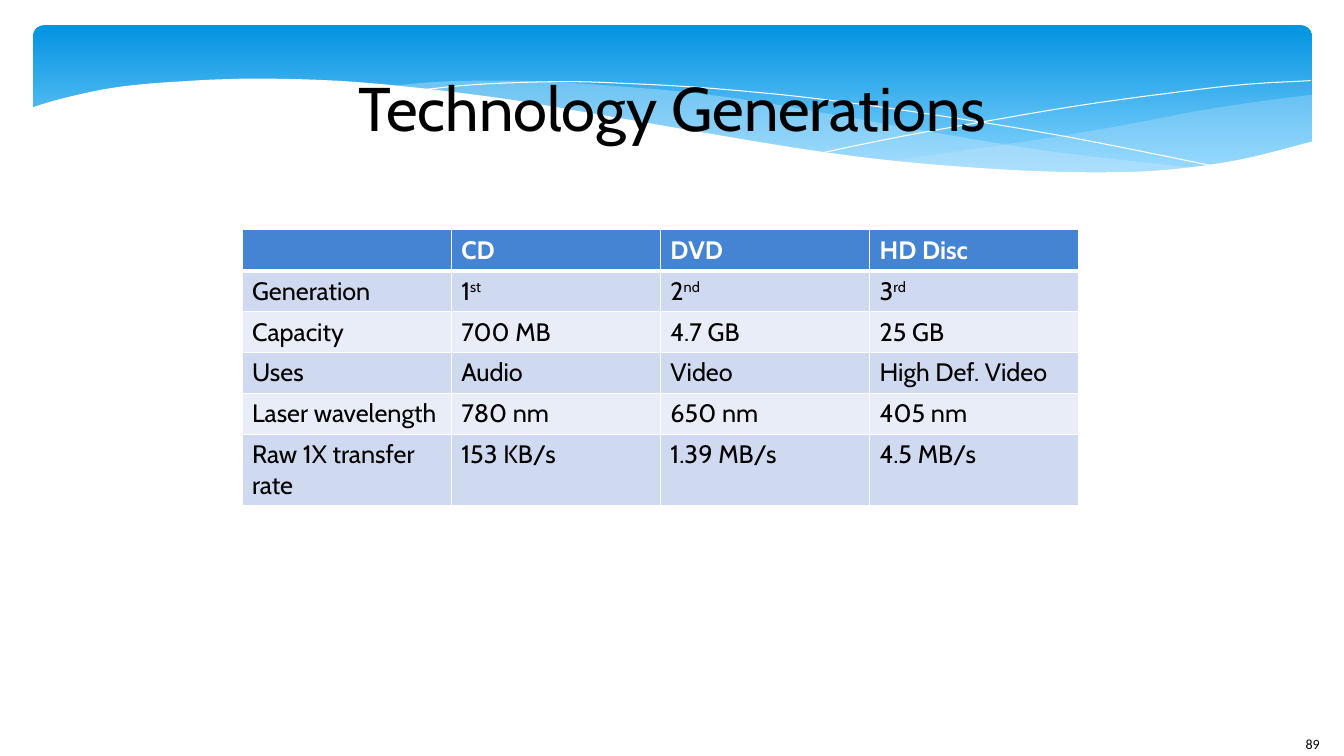
from dataclasses import dataclass
from typing import Optional

from lxml.etree import SubElement
from pptx import Presentation
from pptx.dml.color import RGBColor
from pptx.enum.shapes import MSO_SHAPE as Preset
from pptx.enum.text import MSO_ANCHOR as Anchor, PP_ALIGN as Align
from pptx.oxml.ns import qn
from pptx.util import Inches, Pt

COLORS = {
    "sky_top": "0293E0", "sky_bottom": "83D3FE", "wave": "C6E7FC",
    "white": "FFFFFF", "black": "000000",
    "header": "4584D3", "odd_row": "CFD9EF", "even_row": "E9EDF7",
}
Point = tuple[float, float]


@dataclass
class Wave:
    """Smooth edges, joined in order; a filled wave is closed."""
    edges: list[list[Point]]
    fill: Optional[str] = None
    opacity: int = 100


WAVES = [
    # Right-hand swell
    Wave([[(13.01, 0.94), (12.46, 1.01), (11.88, 1.1), (11.1, 1.25), (10.38, 1.37),
           (9.72, 1.47), (8.82, 1.6)],
          [(8.82, 1.6), (9.58, 1.67), (10.25, 1.71), (10.85, 1.72), (11.51, 1.7),
           (12.07, 1.63), (12.57, 1.54), (13.01, 1.42)]], "wave", 29),
    # Long middle swell
    Wave([[(11.9, 1.67), (11.16, 1.59), (10.34, 1.49), (9.41, 1.34), (8.39, 1.16),
           (7.59, 1.02), (6.86, 0.92), (6.19, 0.86), (5.6, 0.82), (5.06, 0.8),
           (4.37, 0.81), (3.82, 0.86)],
          [(3.82, 0.86), (4.56, 0.94), (5.39, 1.06), (5.99, 1.16), (7.06, 1.35),
           (8.02, 1.5), (8.87, 1.61), (9.63, 1.68), (10.3, 1.72), (10.9, 1.73),
           (11.43, 1.71), (11.9, 1.67)]], "wave", 40),
    # Thin crest lines
    Wave([[(4.12, 0.9), (4.7, 0.84), (5.55, 0.81), (6.25, 0.83), (7.1, 0.88),
           (8.11, 0.98), (9.27, 1.14), (10.6, 1.36), (12.1, 1.66)]]),
    Wave([[(8.18, 1.51), (8.96, 1.35), (9.97, 1.17), (10.75, 1.04), (11.55, 0.93),
           (12.32, 0.84), (13, 0.8)]]),
    # White band that cuts the lower edge of the banner
    Wave([[(0.31, 1.07), (0.61, 0.98), (1.13, 0.87), (1.76, 0.81), (2.58, 0.78),
           (3.61, 0.82), (4.86, 0.96), (5.96, 1.14), (7.06, 1.33), (8.04, 1.49),
           (8.91, 1.6), (9.92, 1.68), (10.78, 1.71), (11.51, 1.69), (12.27, 1.59),
           (13.03, 1.4)], [(13.03, 2.24), (0.31, 2.24)]], "white"),
]
UNITS_PER_INCH = 1000  # freeform points are whole numbers

# A bar separates a number from its raised ending
ROWS = [
    ["", "CD", "DVD", "HD Disc"],
    ["Generation", "1|st", "2|nd", "3|rd"],
    ["Capacity", "700 MB", "4.7 GB", "25 GB"],
    ["Uses", "Audio", "Video", "High Def. Video"],
    ["Laser wavelength", "780 nm", "650 nm", "405 nm"],
    ["Raw 1X transfer rate", "153 KB/s", "1.39 MB/s", "4.5 MB/s"],
]
TABLE_WIDTH, TABLE_HEIGHT, LAST_ROW_HEIGHT = 8.3, 2.73, 0.7


def color(name: str) -> RGBColor:
    return RGBColor.from_string(COLORS[name])


def set_font(para, name: str, size: int, ink: str, bold: bool = False) -> None:
    font = para.font
    font.name, font.size, font.bold = name, Pt(size), bold
    font.color.rgb = color(ink)


def smooth(knots: list[Point], steps: int = 5) -> list[Point]:
    """Catmull-Rom curve through the knots."""
    padded = [knots[0], *knots, knots[-1]]
    curve = [knots[0]]
    for a, b, c, d in zip(padded, padded[1:], padded[2:], padded[3:]):
        for step in range(1, steps + 1):
            t = step / steps
            curve.append(tuple(
                (2 * q + (r - p) * t + (2 * p - 5 * q + 4 * r - s) * t ** 2
                 + (3 * q - p - 3 * r + s) * t ** 3) / 2
                for p, q, r, s in zip(a, b, c, d)))
    return curve


def add_banner(page) -> None:
    banner = page.shapes.add_shape(Preset.ROUNDED_RECTANGLE, Inches(0.33), Inches(0.25),
                                   Inches(12.68), Inches(1.56))
    banner.shadow.inherit = False
    banner.adjustments[0] = 0.07
    banner.line.fill.background()
    banner.fill.gradient()
    banner.fill.gradient_angle = 270
    stops = banner.fill.gradient_stops
    for stop, position, name in zip(stops, (0, 0.9), ("sky_top", "sky_bottom")):
        stop.position = position
        stop.color.rgb = color(name)


def add_wave(page, wave: Wave) -> None:
    points = [(x * UNITS_PER_INCH, y * UNITS_PER_INCH)
              for edge in wave.edges for x, y in smooth(edge)]
    builder = page.shapes.build_freeform(*points[0], scale=Inches(1) / UNITS_PER_INCH)
    builder.add_line_segments(points[1:], close=wave.fill is not None)
    shape = builder.convert_to_shape()
    shape.shadow.inherit = False
    if wave.fill is None:
        shape.fill.background()
        shape.line.color.rgb = color("white")
        shape.line.width = Pt(0)
        return
    shape.line.fill.background()
    shape.fill.solid()
    shape.fill.fore_color.rgb = color(wave.fill)
    if wave.opacity < 100:
        solid = shape.element.spPr.find(qn("a:solidFill"))
        SubElement(solid[0], qn("a:alpha"), val=str(wave.opacity * 1000))


def add_borders(cell, top: int, bottom: int) -> None:
    props = cell._tc.get_or_add_tcPr()
    for side, width in (("L", 1), ("R", 1), ("T", top), ("B", bottom)):
        line = SubElement(props, qn(f"a:ln{side}"), w=str(Pt(width)))
        solid = SubElement(line, qn("a:solidFill"))
        SubElement(solid, qn("a:srgbClr"), val=COLORS["white"])


def fill_cell(cell, text: str, row: int) -> None:
    add_borders(cell, top=3 if row == 1 else 1, bottom=3 if row == 0 else 1)
    fill = "header" if row == 0 else "odd_row" if row % 2 else "even_row"
    cell.fill.solid()
    cell.fill.fore_color.rgb = color(fill)
    para = cell.text_frame.paragraphs[0]
    set_font(para, "Cabin", 18, "black" if row else "white", bold=row == 0)
    base, _, raised = text.partition("|")
    if base:
        para.add_run().text = base
    if raised:
        span = para.add_run()
        span.text = raised
        span.font._element.set("baseline", "30000")


def add_generations_table(page) -> None:
    columns = len(ROWS[0])
    row_height = (TABLE_HEIGHT - LAST_ROW_HEIGHT) / (len(ROWS) - 1)
    table = page.shapes.add_table(
        len(ROWS), columns, Inches(2.4), Inches(2.28),
        Inches(TABLE_WIDTH), Inches(TABLE_HEIGHT)).table
    for column in table.columns:
        column.width = Inches(TABLE_WIDTH / columns)
    for r, texts in enumerate(ROWS):
        table.rows[r].height = Inches(row_height)
        for c, text in enumerate(texts):
            fill_cell(table.cell(r, c), text, r)
    table.rows[len(ROWS) - 1].height = Inches(LAST_ROW_HEIGHT)


def place_title(page) -> None:
    title = page.shapes.title
    title.left, title.top = Inches(0.67), Inches(0.37)
    title.width, title.height = Inches(12), Inches(1.37)
    title.text_frame.text = "Technology Generations"
    title.text_frame.vertical_anchor = Anchor.MIDDLE
    para = title.text_frame.paragraphs[0]
    para.alignment = Align.CENTER
    set_font(para, "Cabin", 44, "black")
    # Bring the title in front of the banner
    title.element.getparent().append(title.element)


def add_page_number(page) -> None:
    box = page.shapes.add_textbox(Inches(12.85), Inches(7.25), Inches(0.48), Inches(0.25))
    box.text_frame.word_wrap = True
    para = box.text_frame.paragraphs[0]
    para.text = "89"
    set_font(para, "Calibri", 10, "black")


def main() -> None:
    deck = Presentation()
    deck.slide_width, deck.slide_height = Inches(13.33), Inches(7.5)
    page = deck.slides.add_slide(deck.slide_layouts[5])
    add_banner(page)
    for wave in WAVES:
        add_wave(page, wave)
    add_page_number(page)
    place_title(page)
    add_generations_table(page)
    deck.save("out.pptx")


if __name__ == "__main__":
    main()
